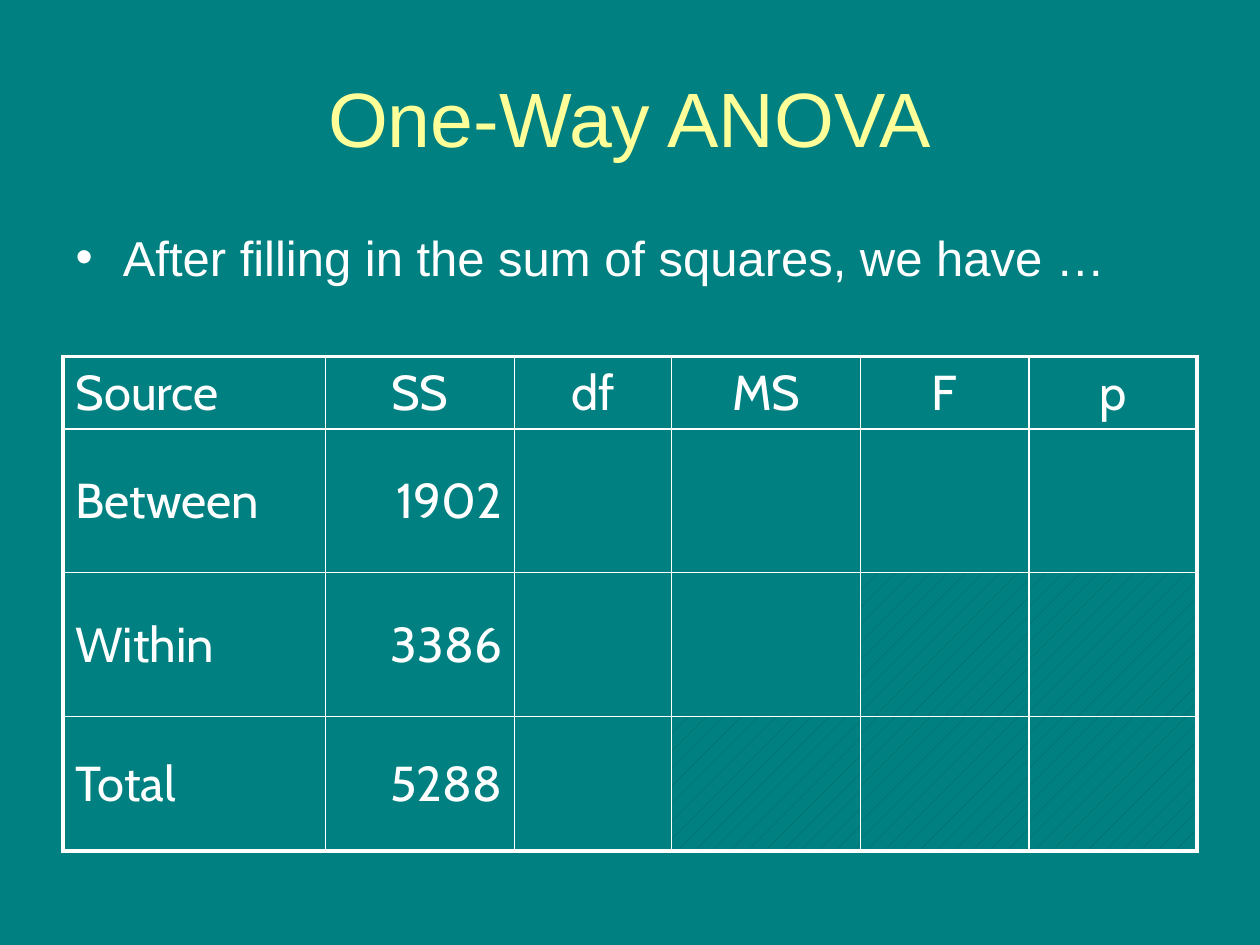
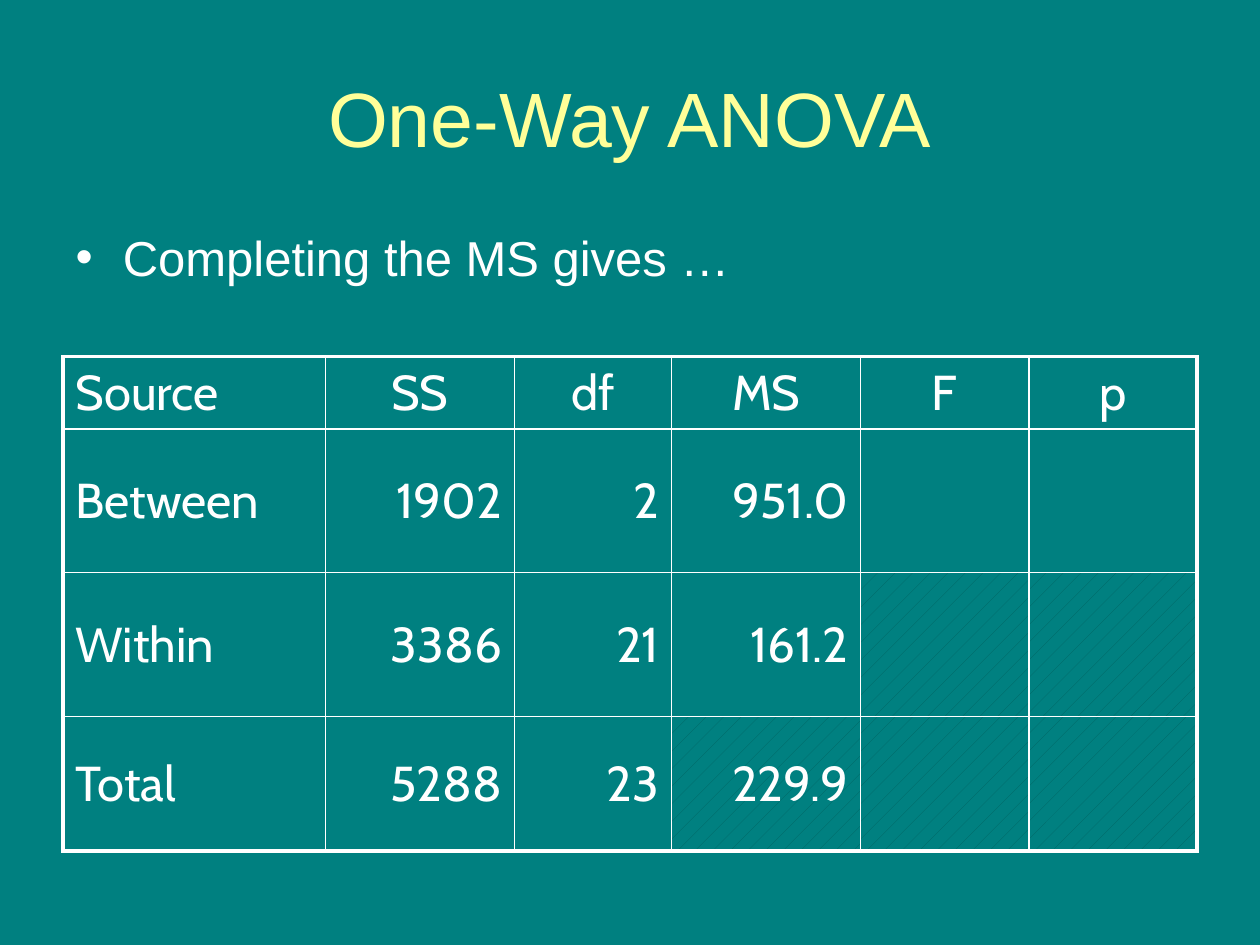
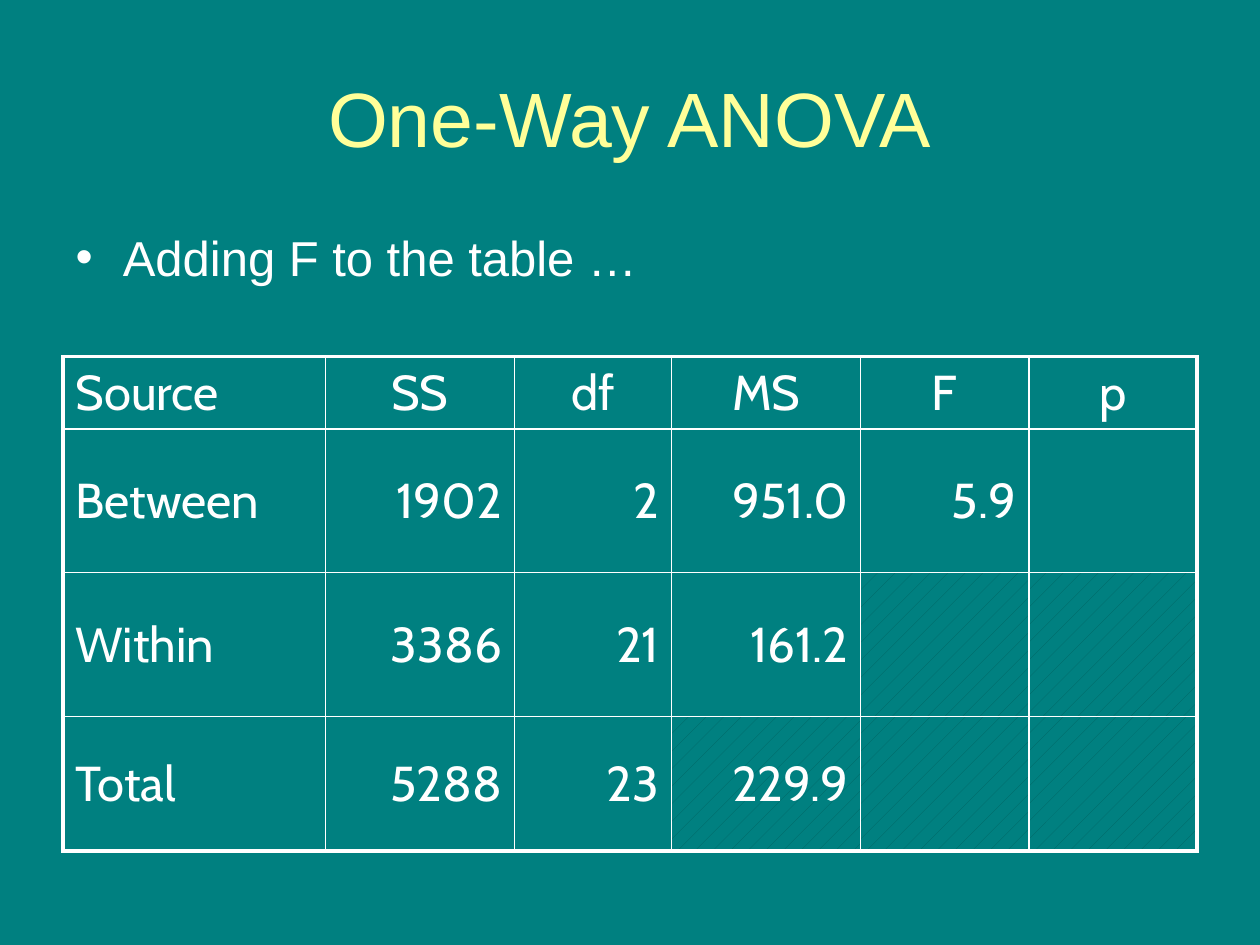
from lxml.etree import SubElement
from pptx import Presentation
from pptx.dml.color import RGBColor
from pptx.enum.dml import MSO_PATTERN
from pptx.enum.text import MSO_ANCHOR, MSO_AUTO_SIZE, PP_ALIGN
from pptx.oxml.ns import qn
from pptx.util import Cm, Pt

TITLE = "One-Way ANOVA"
HEADINGS = ["Source", "SS", "df", "MS", "F", "p"]
RESULTS = [
    ["Between", "1902", "2", "951.0", "5.9", ""],
    ["Within", "3386", "21", "161.2", "", ""],
    ["Total", "5288", "23", "229.9", "", ""],
]
# Each step: lead-in sentence, number of columns already filled in
STEPS = [
    ("After filling in the sum of squares, we have …", 2),
    ("Completing the MS gives …", 4),
    ("Adding F to the table …", 5),
]
# Row number: first column that needs no value
FIRST_HATCHED = {2: 4, 3: 3}

TEAL, DARK_TEAL, YELLOW, WHITE = "008080", "006462", "FFFF99", "FFFFFF"
TEXT_FONT, TABLE_FONT = "Arial", "Cabin"
TITLE_SIZE, TEXT_SIZE = 44, 28
OUTER_LINE, INNER_LINE = 2.25, 1

LEFT, WIDTH = 1.27, 22.86
TITLE_TOP, TITLE_HEIGHT = 0.76, 3.18
LEAD_TOP, LEAD_HEIGHT = 4.45, 1.9
TABLE_TOP = 7.19
COLUMN_WIDTHS = [5.29, 3.81, 3.17, 3.81, 3.39, 3.39]
ROW_HEIGHTS = [1.45, 2.9, 2.9, 2.71]


def rgb(color):
    return RGBColor.from_string(color)


def add_text(paragraph, text, font, size, color):
    run = paragraph.add_run()
    run.text = text
    run.font.name = font
    run.font.size = Pt(size)
    run.font.color.rgb = rgb(color)


def fill_placeholder(holder, top, height, text, size, color):
    holder.left, holder.top = Cm(LEFT), Cm(top)
    holder.width, holder.height = Cm(WIDTH), Cm(height)
    frame = holder.text_frame
    frame.auto_size = MSO_AUTO_SIZE.NONE
    paragraph = frame.paragraphs[0]
    paragraph.space_before = Pt(0)
    add_text(paragraph, text, TEXT_FONT, size, color)


def draw_borders(cell, row, column):
    """Heavy lines on the outside of the table, thin ones within."""
    on_edge = {
        "a:lnL": column == 0,
        "a:lnR": column == len(COLUMN_WIDTHS) - 1,
        "a:lnT": row == 0,
        "a:lnB": row == len(ROW_HEIGHTS) - 1,
    }
    properties = cell._tc.get_or_add_tcPr()
    for side, outer in on_edge.items():
        line = SubElement(properties, qn(side),
                          w=str(Pt(OUTER_LINE if outer else INNER_LINE)))
        solid = SubElement(line, qn("a:solidFill"))
        SubElement(solid, qn("a:srgbClr"), val=WHITE)


def fill_cell(cell, row, column):
    if column >= FIRST_HATCHED.get(row, len(COLUMN_WIDTHS)):
        cell.fill.patterned()
        cell.fill.pattern = MSO_PATTERN.PERCENT_5
        cell.fill.fore_color.rgb = rgb(DARK_TEAL)
        cell.fill.back_color.rgb = rgb(TEAL)
    else:
        cell.fill.background()


def alignment(row, column):
    if column == 0:
        return PP_ALIGN.LEFT
    return PP_ALIGN.CENTER if row == 0 else PP_ALIGN.RIGHT


def add_anova_table(slide, filled_columns):
    table = slide.shapes.add_table(
        len(ROW_HEIGHTS), len(COLUMN_WIDTHS), Cm(LEFT), Cm(TABLE_TOP),
        Cm(WIDTH), Cm(sum(ROW_HEIGHTS))).table
    table.first_row = table.horz_banding = False
    for column, width in zip(table.columns, COLUMN_WIDTHS):
        column.width = Cm(width)
    for row, height in zip(table.rows, ROW_HEIGHTS):
        row.height = Cm(height)

    for r, entries in enumerate([HEADINGS] + RESULTS):
        for c, entry in enumerate(entries):
            cell = table.cell(r, c)
            draw_borders(cell, r, c)
            fill_cell(cell, r, c)
            cell.vertical_anchor = MSO_ANCHOR.MIDDLE
            if entry and (r == 0 or c < filled_columns):
                paragraph = cell.text_frame.paragraphs[0]
                paragraph.alignment = alignment(r, c)
                add_text(paragraph, entry, TABLE_FONT, TEXT_SIZE, WHITE)


def main():
    deck = Presentation()
    deck.slide_width, deck.slide_height = Cm(25.4), Cm(19.05)
    backdrop = deck.slide_master.background.fill
    backdrop.solid()
    backdrop.fore_color.rgb = rgb(TEAL)

    for lead, filled_columns in STEPS:
        slide = deck.slides.add_slide(deck.slide_layouts[1])
        fill_placeholder(slide.shapes.title, TITLE_TOP, TITLE_HEIGHT,
                         TITLE, TITLE_SIZE, YELLOW)
        fill_placeholder(slide.placeholders[1], LEAD_TOP, LEAD_HEIGHT,
                         lead, TEXT_SIZE, WHITE)
        add_anova_table(slide, filled_columns)

    deck.save("out.pptx")


if __name__ == "__main__":
    main()
